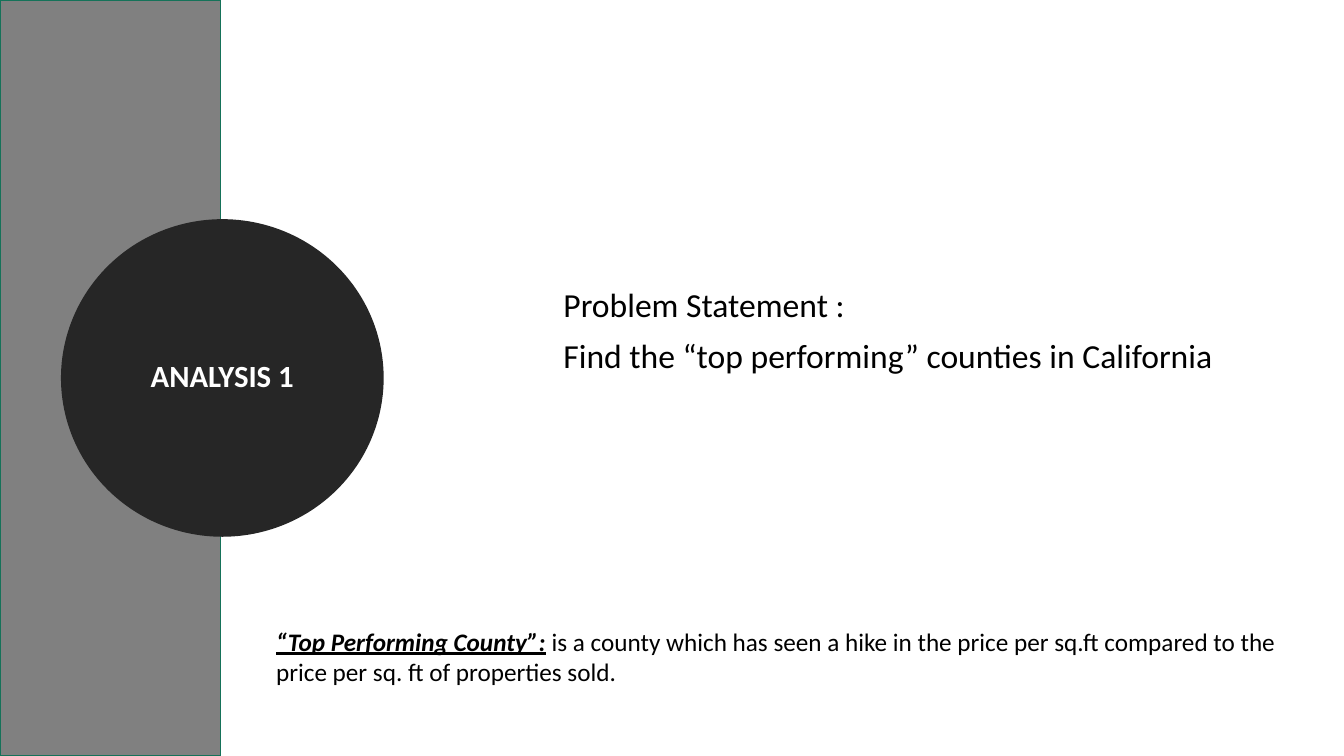
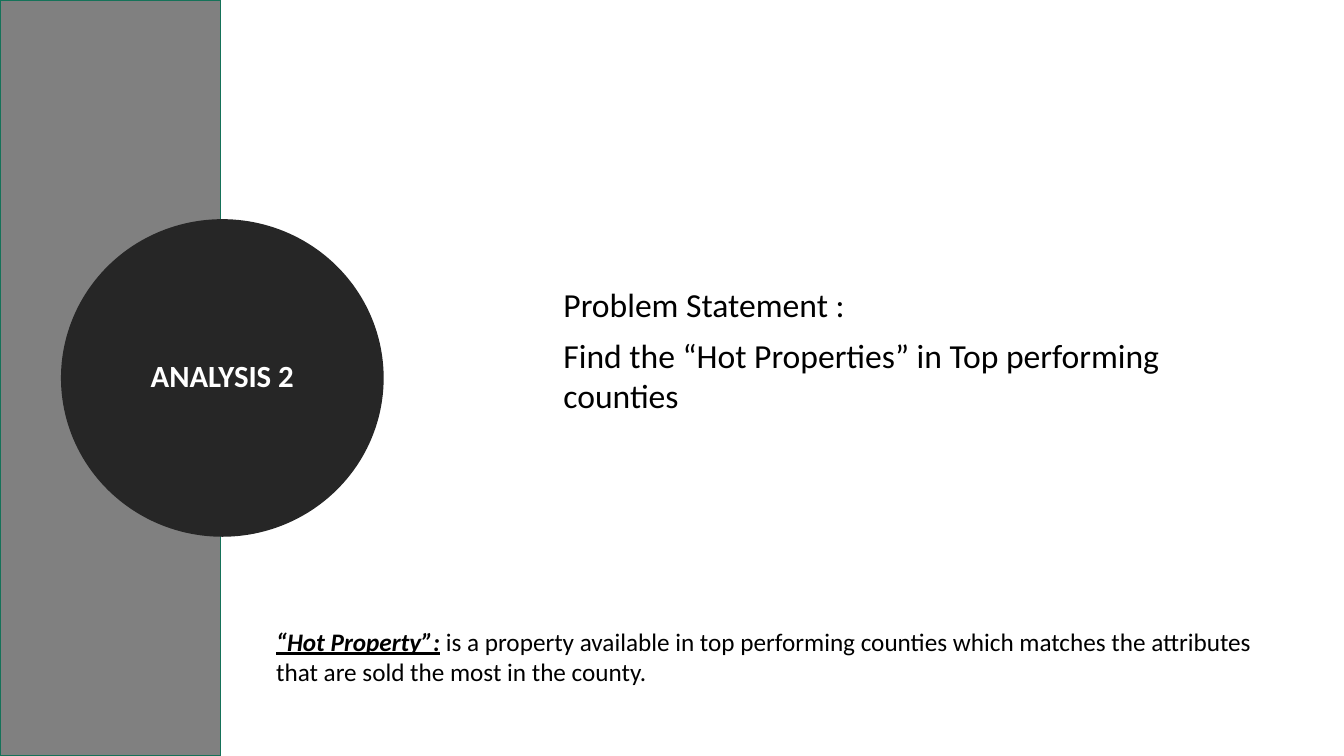
from pptx import Presentation
from pptx.dml.color import RGBColor
from pptx.enum.shapes import MSO_SHAPE
from pptx.enum.text import MSO_ANCHOR, PP_ALIGN
from pptx.util import Inches, Pt

WIDE, HIGH = 13.33, 7.5
FONT = "Calibri"
HEX = {"band": "808080", "edge": "157259", "disc": "262626",
       "text": "000000", "light": "FFFFFF"}

BAND = (0, 0, 2.19, HIGH)
DISC = (0.7, 2.27, 3.01, 2.96)
HEAD = (5.49, 2.77, 6.67, 0.5)
NOTE = (2.64, 6.16, 10.12, 0.71)

TOPICS = [
    ("ANALYSIS 1", "Find the “top performing” counties in California",
     "“Top Performing County”:",
     " is a county which has seen a hike in the price per sq.ft compared "
     "to the price per sq. ft of properties sold."),
    ("ANALYSIS 2", "Find the “Hot Properties” in Top performing counties",
     "“Hot Property”:",
     " is a property available in top performing counties which matches "
     "the attributes that are sold the most in the county."),
]


def color(name):
    return RGBColor.from_string(HEX[name])


def add_run(para, text, size, tone="text", bold=False, term=False):
    run = para.add_run()
    run.text = text
    font = run.font
    font.name, font.size, font.bold = FONT, Pt(size), bold or term
    font.italic = font.underline = term
    font.color.rgb = color(tone)


def add_form(slide, kind, box, fill, edge, width):
    form = slide.shapes.add_shape(kind, *map(Inches, box))
    form.shadow.inherit = False
    form.fill.solid()
    form.fill.fore_color.rgb = color(fill)
    form.line.color.rgb = color(edge)
    form.line.width = Pt(width)
    return form


def add_text(slide, box):
    """Add a wrapping text box and return its first paragraph."""
    frame = slide.shapes.add_textbox(*map(Inches, box)).text_frame
    frame.word_wrap = True
    return frame.paragraphs[0]


def add_side(slide, label):
    """Draw the side band and the disc that names the analysis."""
    add_form(slide, MSO_SHAPE.RECTANGLE, BAND, "band", "edge", 1)
    disc = add_form(slide, MSO_SHAPE.OVAL, DISC, "disc", "disc", 13.75)
    frame = disc.text_frame
    frame.word_wrap = True
    frame.vertical_anchor = MSO_ANCHOR.MIDDLE
    para = frame.paragraphs[0]
    para.alignment = PP_ALIGN.CENTER
    para.line_spacing = 0.9
    para.space_after = Pt(8)
    add_run(para, label, 22, "light", bold=True)


def add_goal(slide, box, goal):
    """Stack the heading and the goal, one box height apart."""
    left, top, width, row = box
    for step, text in enumerate(("Problem Statement :", goal)):
        para = add_text(slide, (left, top + step * row, width, row))
        add_run(para, text, 24)


def add_note(slide, box, term, sense):
    para = add_text(slide, box)
    add_run(para, term, 18, term=True)
    add_run(para, sense, 18)


def add_topic(deck, label, goal, term, sense):
    slide = deck.slides.add_slide(deck.slide_layouts[6])
    add_side(slide, label)
    add_goal(slide, HEAD, goal)
    add_note(slide, NOTE, term, sense)


def main():
    deck = Presentation()
    deck.slide_width, deck.slide_height = Inches(WIDE), Inches(HIGH)
    for topic in TOPICS:
        add_topic(deck, *topic)
    deck.save("out.pptx")


if __name__ == "__main__":
    main()
